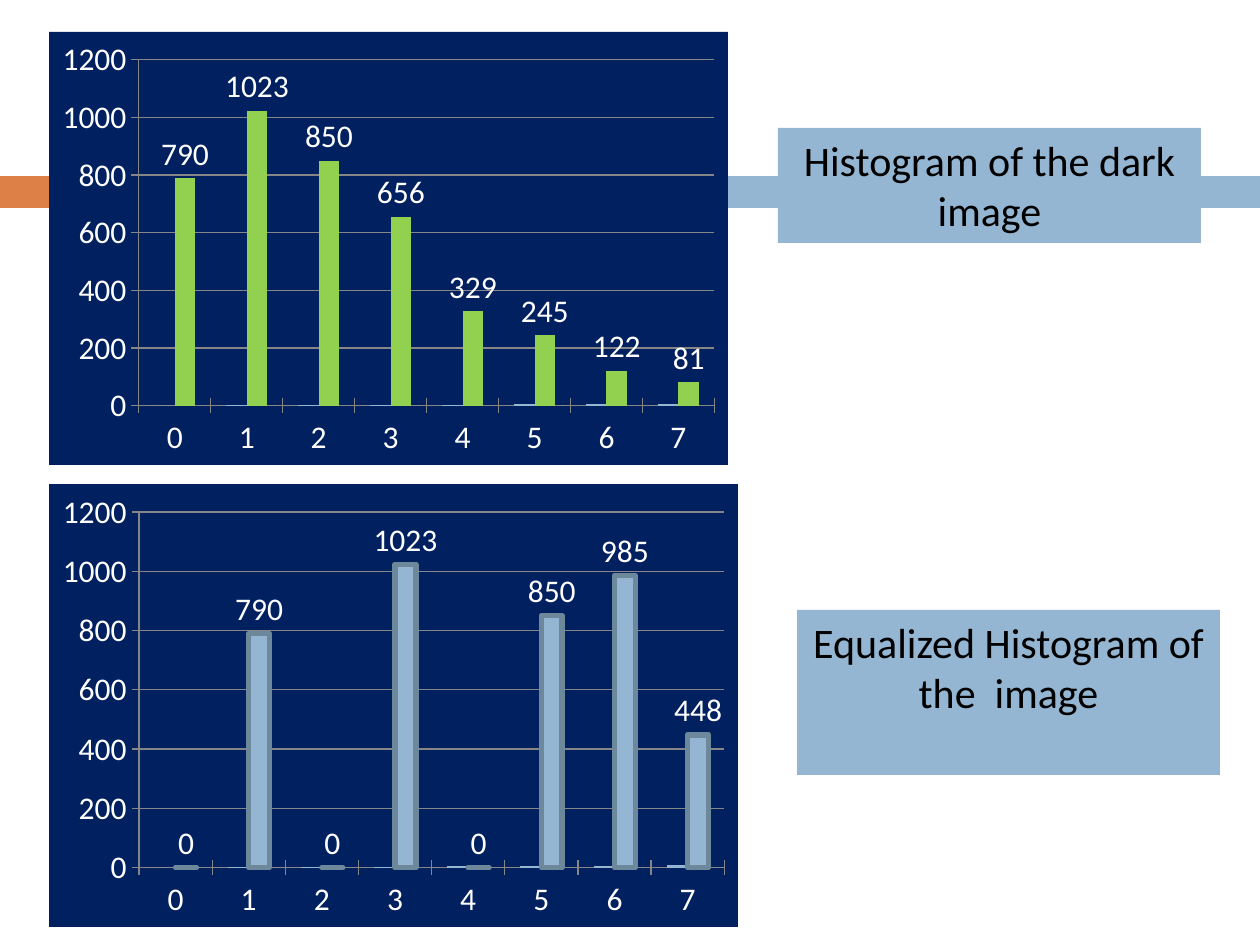
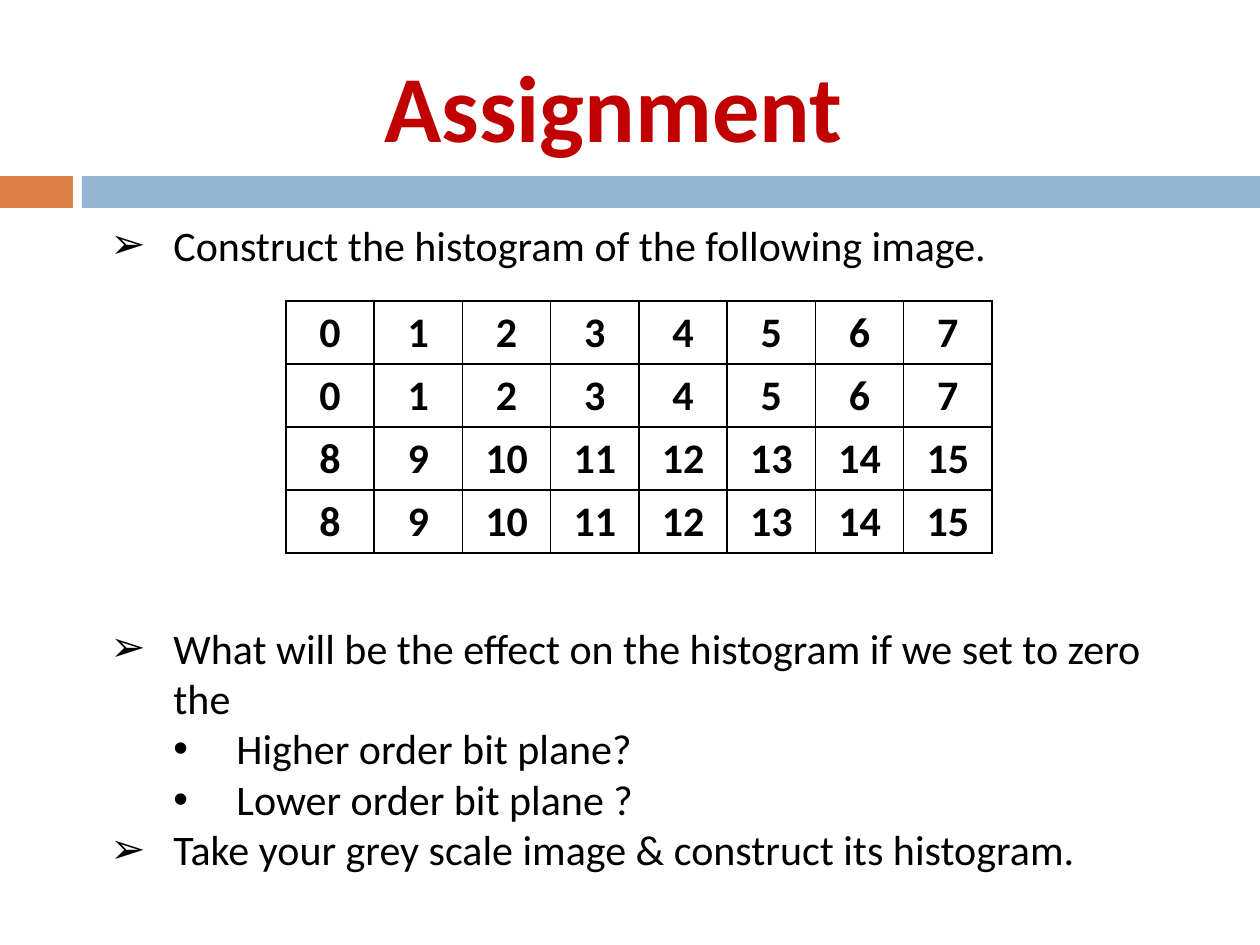
from lxml import etree
from pptx import Presentation
from pptx import util as u
from pptx.chart.data import CategoryChartData
from pptx.dml.color import RGBColor
from pptx.enum import chart as ch, shapes, text
from pptx.oxml import parse_xml
from pptx.oxml.ns import qn

PX = 914400 / 126
FONT = "Calibri"
BLUE, RUST, NAVY, GREEN = "94B6D2", "DD8047", "002060", "92D050"
RED, BLACK, WHITE, GREY, SLATE = "C00000", "000000", "FFFFFF", "868686", "6D879B"
NS = ('xmlns:a="http://schemas.openxmlformats.org/drawingml/2006/main" '
      'xmlns:c="http://schemas.openxmlformats.org/drawingml/2006/chart"')


def rgb(code):
    return RGBColor.from_string(code)


def write(par, words, color=BLACK, align=None, **form):
    par.text = words
    par.alignment = align
    for key, val in {"name": FONT, "size": u.Pt(24), **form}.items():
        setattr(par.font, key, val)
    par.font.color.rgb = rgb(color)


deck = Presentation()
deck.slide_width, deck.slide_height = u.Inches(10), u.Inches(7.5)
CENTER = text.PP_ALIGN.CENTER

# Shared bands on both slides
bands = [((0, 176, 73, 32), RUST), ((82, 176, 1178, 32), BLUE)]
pages = [deck.slides.add_slide(deck.slide_layouts[6]) for _ in range(2)]
hist, task = pages

# Band and caption boxes, with the charts placed between them
plots = [
    ((49, 32, 679, 433), [790, 1023, 850, 656, 329, 245, 122, 81], GREEN, None),
    ((49, 484, 689, 443), [0, 790, 0, 1023, 0, 850, 985, 448], BLUE, SLATE),
]
notes = [
    ((778, 128, 423, 115), "Histogram of the dark image"),
    ((797, 610, 423, 165), "Equalized Histogram of the  image"),
]
boxes = [(page, spot, fill, None) for page in pages for spot, fill in bands]
boxes += [(hist, spot, BLUE, words) for spot, words in notes]
for page, spot, fill, words in boxes:
    box = page.shapes.add_shape(shapes.MSO_SHAPE.RECTANGLE,
                                *[round(n * PX) for n in spot])
    box.shadow.inherit = False
    box.fill.solid()
    box.fill.fore_color.rgb = rgb(fill)
    box.line.fill.background()
    if words:
        box.text_frame.word_wrap = True
        box.text_frame.vertical_anchor = text.MSO_ANCHOR.TOP
        write(box.text_frame.paragraphs[0], words, align=CENTER)

# Histograms
for spot, counts, fill, edge in plots:
    data = CategoryChartData()
    data.categories = [str(n) for n in range(8)]
    data.add_series("Series 1", range(8))
    data.add_series("Series 2", counts)
    chart = hist.shapes.add_chart(ch.XL_CHART_TYPE.COLUMN_CLUSTERED,
                                  *[round(n * PX) for n in spot], data).chart
    chart.has_legend = chart.has_title = False
    chart.font.name, chart.font.size = FONT, u.Pt(18)
    chart.font.color.rgb = rgb(WHITE)

    # Navy chart area, clear plot area
    area = chart._chartSpace
    area.find(qn("c:txPr")).addprevious(parse_xml(
        f'<c:spPr {NS}><a:solidFill><a:srgbClr val="{NAVY}"/></a:solidFill>'
        '<a:ln><a:noFill/></a:ln></c:spPr>'))
    area.chart.plotArea.append(parse_xml(
        f'<c:spPr {NS}><a:noFill/></c:spPr>'))

    chart.value_axis.has_major_gridlines = True
    for axis in (chart.category_axis, chart.value_axis):
        axis.major_tick_mark = ch.XL_TICK_MARK.CROSS
        axis.format.line.color.rgb = rgb(GREY)
    chart.value_axis.major_gridlines.format.line.color.rgb = rgb(GREY)

    plot = chart.plots[0]
    plot.gap_width, plot.overlap, plot.vary_by_categories = 150, 0, False
    for bars, tone in zip(plot.series, (BLUE, fill)):
        bars.format.fill.solid()
        bars.format.fill.fore_color.rgb = rgb(tone)
    if edge:
        bars.format.line.color.rgb = rgb(edge)
        bars.format.line.width = u.Pt(3.15)
    tags = bars.data_labels
    tags.show_value = True
    tags.position = ch.XL_LABEL_POSITION.OUTSIDE_END
    tags.font.size = u.Pt(18)
    tags.font.color.rgb = rgb(WHITE)

# Title and bullet lists
title = task.shapes.add_textbox(*[round(n * PX) for n in (366, 42, 495, 127)])
title.text_frame.word_wrap = False
write(title.text_frame.paragraphs[0], "Assignment", RED, CENTER,
      size=u.Pt(54), bold=True)

lists = [
    ((98, 213, 1063, 63),
     [(0, "Construct the histogram of the following image.")]),
    ((98, 616, 1063, 318),
     [(0, "What will be the effect on the histogram if we set to zero the"),
      (1, "Higher order bit plane?"),
      (1, "Lower order bit plane ?"),
      (0, "Take your grey scale image & construct its histogram.")]),
]
for spot, items in lists:
    frame = task.shapes.add_textbox(*[round(n * PX) for n in spot]).text_frame
    frame.word_wrap = True
    for num, (level, words) in enumerate(items):
        par = frame.add_paragraph() if num else frame.paragraphs[0]
        par.level = level
        props = par._p.get_or_add_pPr()
        props.set("marL", str(457200 * (level + 1)))
        props.set("indent", "-457200")
        etree.SubElement(props, qn("a:buFont")).set("typeface", "Arial")
        etree.SubElement(props, qn("a:buChar")).set("char", "➢•"[level])
        write(par, words)

# Grey level table: each run of eight values fills two rows
spot = [round(n * PX) for n in (286, 301, 706, 252)]
grid = task.shapes.add_table(4, 8, *spot).table
for row in range(4):
    for col in range(8):
        cell = grid.cell(row, col)
        cell.fill.background()
        cell.vertical_anchor = text.MSO_ANCHOR.MIDDLE
        write(cell.text_frame.paragraphs[0], str(row // 2 * 8 + col),
              align=CENTER, bold=True)
        props = cell._tc.get_or_add_tcPr()
        for num, side in enumerate(("lnL", "lnR", "lnT", "lnB")):
            props.insert(num, parse_xml(
                f'<a:{side} {NS} w="12700"><a:solidFill>'
                f'<a:srgbClr val="{BLACK}"/></a:solidFill></a:{side}>'))

deck.save("out.pptx")
